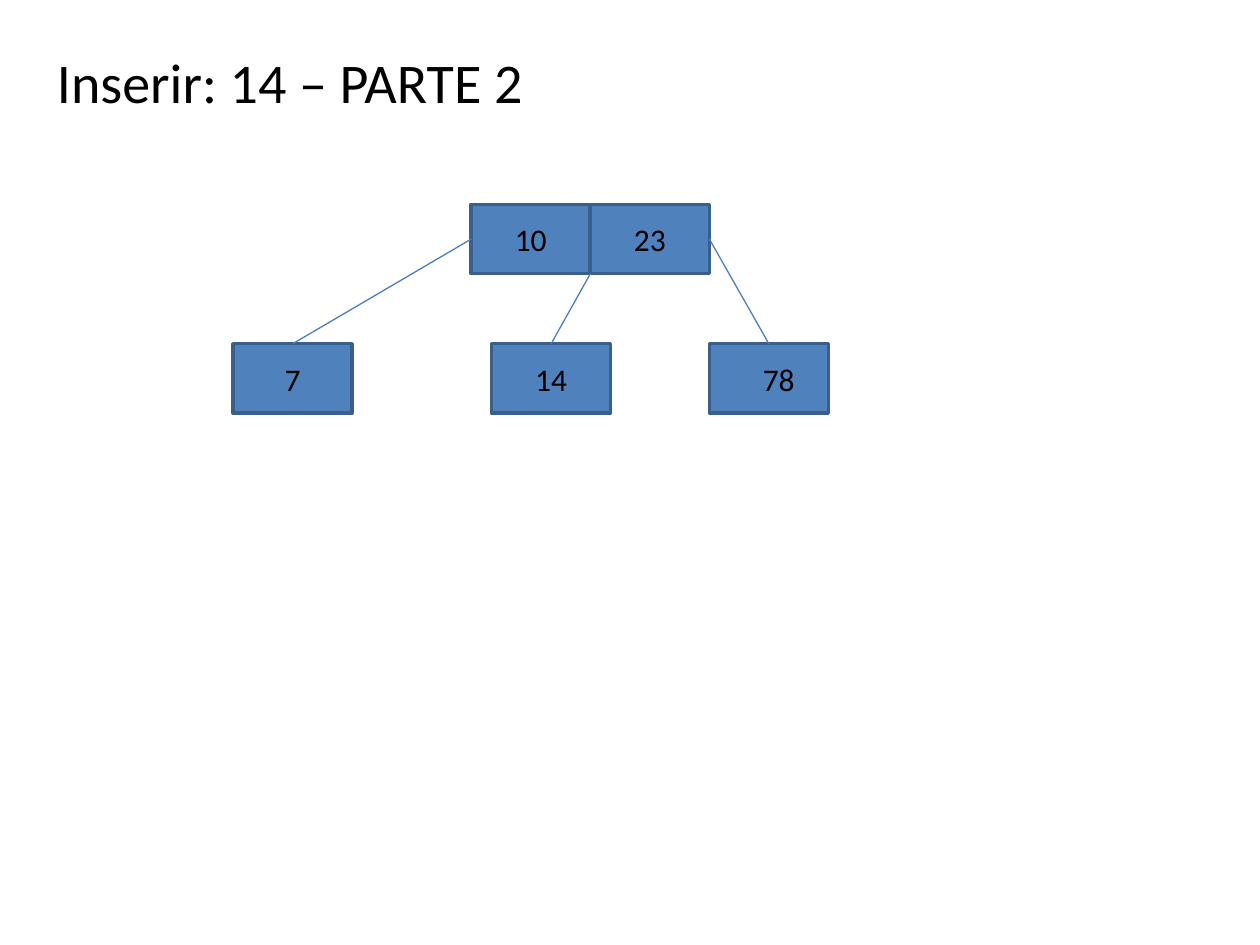
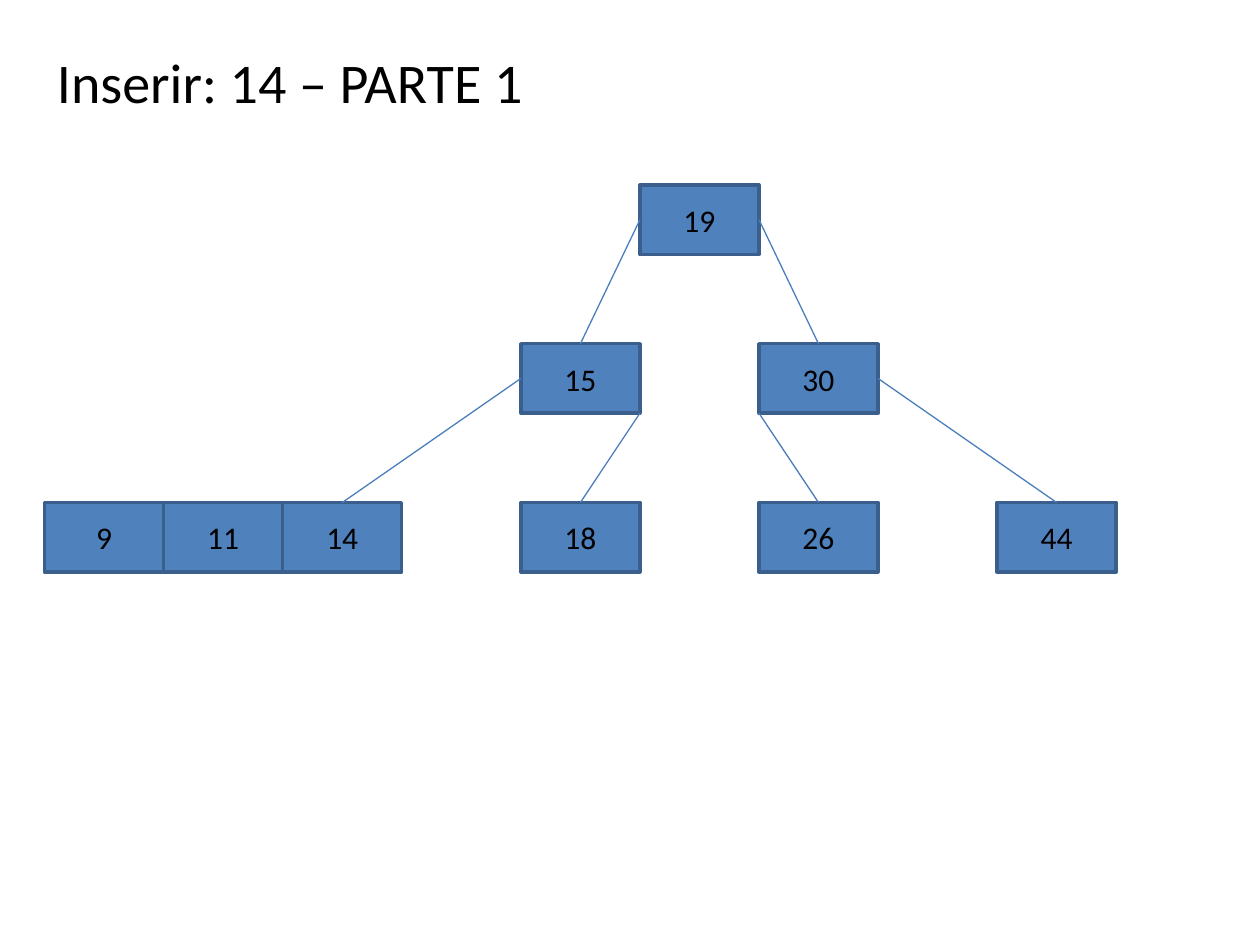
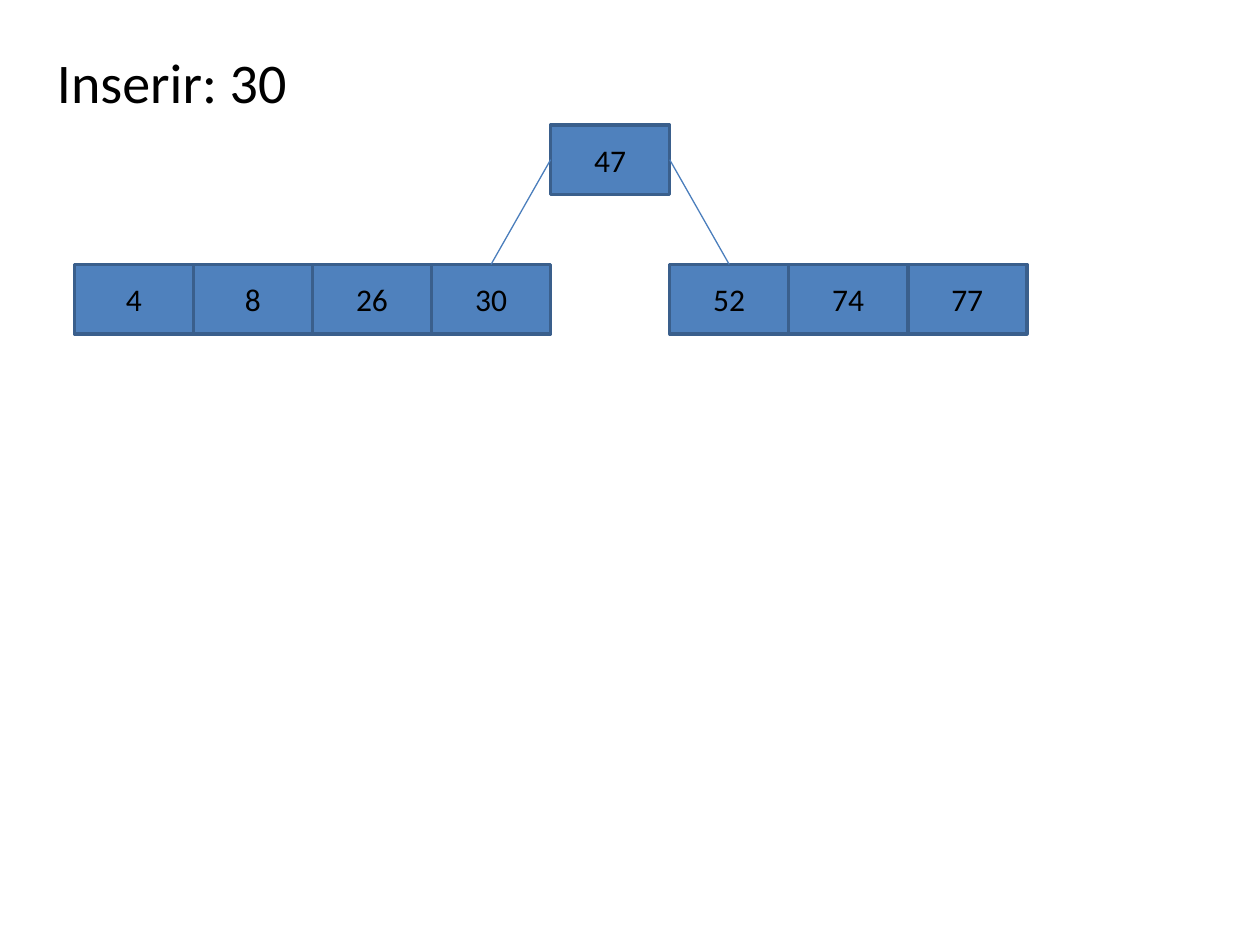
import pptx
import pptx.util
import pptx.dml.color
import pptx.enum.shapes
import pptx.enum.text
import pptx.oxml

Cm = pptx.util.Cm
Pt = pptx.util.Pt
Align = pptx.enum.text.PP_ALIGN

# Shared look
FONT, INK = "Calibri", "000000"
FILL, EDGE, LINK = "4F81BD", "3A5F8C", "4B7EBC"
WIDE, HIGH = 2.4, 1.4
TOP, LEFT, RIGHT = 0, 1, 3


def tint(code):
    return pptx.dml.color.RGBColor.from_string(code)


def write(frame, text, size=18, align=Align.CENTER):
    frame.word_wrap = True
    frame.vertical_anchor = pptx.enum.text.MSO_ANCHOR.MIDDLE
    par = frame.paragraphs[0]
    par.alignment = align
    run = par.add_run()
    run.text = text
    run.font.name = FONT
    run.font.size = Pt(size)
    run.font.color.rgb = tint(INK)


# Each tree: title, nodes as (left, top, keys), links as (parent, start, child)
# A start is a side number, or a bottom corner as "left" or "right"
trees = [
    ("Inserir: 14 – PARTE 2",
     [(9.5, 4.12, "10 23"),
      (4.7, 6.93, "7"), (9.91, 6.93, "14"), (14.3, 6.93, "78")],
     [("10", LEFT, "7"), ("23", "left", "14"), ("23", RIGHT, "78")]),
    ("Inserir: 14 – PARTE 1",
     [(12.9, 3.73, "19"),
      (10.5, 6.93, "15"), (15.3, 6.93, "30"),
      (0.9, 10.13, "9 11 14"), (10.5, 10.13, "18"),
      (15.3, 10.13, "26"), (20.1, 10.13, "44")],
     [("19", LEFT, "15"), ("19", RIGHT, "30"),
      ("15", LEFT, "14"), ("15", "right", "18"),
      ("30", "left", "26"), ("30", RIGHT, "44")]),
    ("Inserir: 30",
     [(11.1, 2.52, "47"),
      (1.5, 5.33, "4 8 26 30"), (13.5, 5.33, "52 74 77")],
     [("47", LEFT, "30"), ("47", RIGHT, "52")]),
]

deck = pptx.Presentation()
deck.slide_width, deck.slide_height = Cm(25.4), Cm(19.05)

for title, nodes, links in trees:
    slide = deck.slides.add_slide(deck.slide_layouts[6])

    # Title
    head = slide.shapes.add_textbox(Cm(0.9), Cm(0.74), Cm(16.8), Cm(1.8))
    write(head.text_frame, title, size=32, align=Align.LEFT)

    # Nodes: one cell per key, side by side
    cells = {}
    for left, top, keys in nodes:
        for i, key in enumerate(keys.split()):
            cell = slide.shapes.add_shape(
                pptx.enum.shapes.MSO_SHAPE.RECTANGLE,
                Cm(left + i * WIDE), Cm(top), Cm(WIDE), Cm(HIGH))
            cell.shadow.inherit = False
            cell.fill.solid()
            cell.fill.fore_color.rgb = tint(FILL)
            cell.line.color.rgb = tint(EDGE)
            cell.line.width = Pt(2)
            write(cell.text_frame, key)
            cells[key] = cell

    # The key 78 sits a little right of centre
    if "78" in cells:
        cells["78"].text_frame.margin_left = Cm(0.65)

    # Links from parent to child
    for up, start, down in links:
        cell = cells[up]
        x = cell.left + (cell.width if start == "right" else 0)
        y = cell.top + cell.height
        link = slide.shapes.add_connector(
            pptx.enum.shapes.MSO_CONNECTOR.STRAIGHT, x, y, x, y)
        if start in (LEFT, RIGHT):
            link.begin_connect(cell, start)
        link.end_connect(cells[down], TOP)
        link.line.color.rgb = tint(LINK)
        link.line.width = Pt(0.75)
        link._element.spPr.append(pptx.oxml.parse_xml(
            '<a:effectLst xmlns:a='
            '"http://schemas.openxmlformats.org/drawingml/2006/main"/>'))

deck.save("out.pptx")
